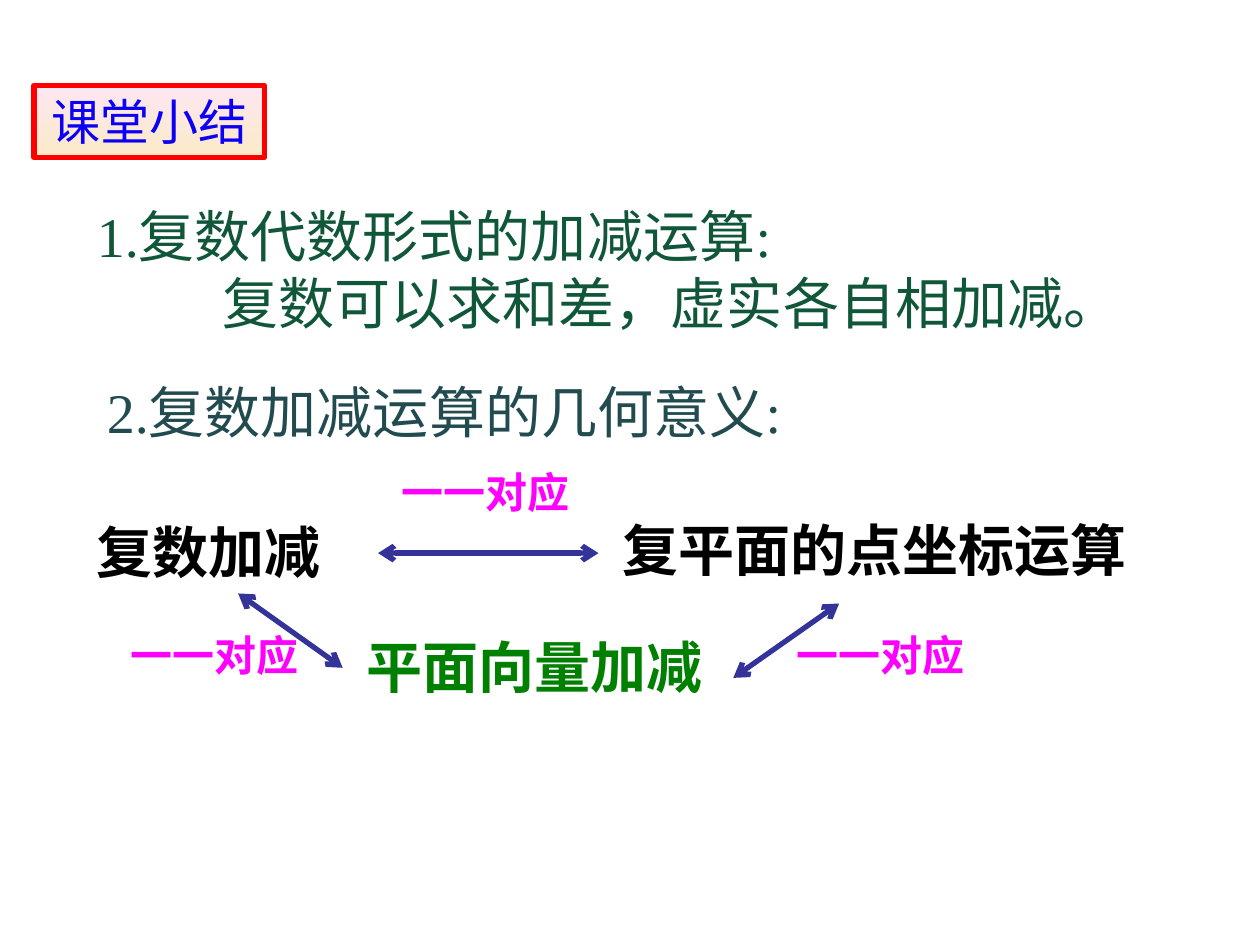
from lxml import etree
from pptx import Presentation
from pptx import util as u
from pptx.dml.color import RGBColor
from pptx.enum import shapes, text
from pptx.oxml.ns import qn


def colour(value):
    return RGBColor.from_string(value)


def write(paragraph, wording, size=32, ink="000000", bold=False,
          font="Times New Roman", align=text.PP_ALIGN.LEFT, indent=0):
    paragraph.alignment = align
    if indent:
        properties = paragraph._p.get_or_add_pPr()
        properties.set("marL", str(u.Inches(indent)))
        properties.set("indent", "0")
    run = paragraph.add_run()
    run.text = wording
    run.font.size = u.Pt(size)
    run.font.name = font
    run.font.bold = bold
    run.font.color.rgb = colour(ink)


class SummarySlide:
    arrow_ink = "333399"
    link_ink = "FF00FF"
    frame_ink = "FF0000"
    heading_ink = "0C00F4"
    heading_fill = ("FEE7F2", "FBEAC7")
    stroke = u.Pt(3)

    def __init__(self, deck):
        self.shapes = deck.slides.add_slide(deck.slide_layouts[6]).shapes

    def textbox(self, left, top, width, height, *lines, **style):
        frame = self.shapes.add_textbox(*map(u.Inches, (left, top, width, height))).text_frame
        frame.word_wrap = True
        for number, (wording, indent) in enumerate(lines):
            paragraph = frame.add_paragraph() if number else frame.paragraphs[0]
            write(paragraph, wording, indent=indent, **style)
        return frame

    def point(self, left, top, width, height, ink, *lines):
        frame = self.textbox(left, top, width, height, *lines, ink=ink)
        frame.vertical_anchor = text.MSO_ANCHOR.MIDDLE

    def concept(self, left, top, width, wording, ink="000000"):
        self.textbox(left, top, width, 0.64, (wording, 0), ink=ink, bold=True)

    def link_label(self, left, top):
        self.textbox(left, top, 1.67, 0.5, ("一一对应", 0),
                     size=24, ink=self.link_ink, bold=True)

    def double_arrow(self, *ends):
        arrow = self.shapes.add_connector(
            shapes.MSO_CONNECTOR.STRAIGHT, *map(u.Inches, ends))
        arrow.line.width = self.stroke
        arrow.line.color.rgb = colour(self.arrow_ink)
        outline = arrow.line._get_or_add_ln()
        for end in ("a:headEnd", "a:tailEnd"):
            etree.SubElement(outline, qn(end), type="arrow")
        etree.SubElement(arrow._element.spPr, qn("a:effectLst"))

    def heading(self, left, top, width, height, wording):
        plate = self.shapes.add_shape(
            shapes.MSO_SHAPE.RECTANGLE, *map(u.Inches, (left, top, width, height)))
        plate.shadow.inherit = False
        plate.fill.gradient()
        plate.fill.gradient_angle = 270
        for stop, position, tint in zip(plate.fill.gradient_stops, (0, 1), self.heading_fill):
            stop.position = position
            stop.color.rgb = colour(tint)
        plate.line.color.rgb = colour(self.frame_ink)
        plate.line.width = self.stroke
        plate.text_frame.vertical_anchor = text.MSO_ANCHOR.TOP
        write(plate.text_frame.paragraphs[0], wording, size=28, ink=self.heading_ink,
              font="Noto Sans CJK SC", align=text.PP_ALIGN.CENTER)


def main():
    deck = Presentation()
    deck.slide_width, deck.slide_height = u.Inches(10), u.Inches(7.5)
    summary = SummarySlide(deck)

    summary.heading(0.27, 0.68, 1.83, 0.57, "课堂小结")
    summary.point(0.67, 1.55, 8.83, 1.17, "105638",
                  ("1.复数代数形式的加减运算:", 0),
                  ("复数可以求和差，虚实各自相加减。", 1))
    summary.point(0.75, 2.94, 8.83, 0.64, "224B50",
                  ("2.复数加减运算的几何意义:", 0))

    summary.concept(0.67, 4.06, 2.42, "复数加减")
    summary.concept(4.84, 4.04, 5, "复平面的点坐标运算")
    summary.concept(2.81, 4.97, 3.58, "平面向量加减", ink="008000")

    for ends in ((5.82, 5.38, 6.66, 4.79), (2.72, 5.3, 1.89, 4.71), (3, 4.39, 4.75, 4.39)):
        summary.double_arrow(*ends)
    for place in ((3.09, 3.65), (6.22, 4.95), (0.94, 4.95)):
        summary.link_label(*place)

    deck.save("out.pptx")


if __name__ == "__main__":
    main()
